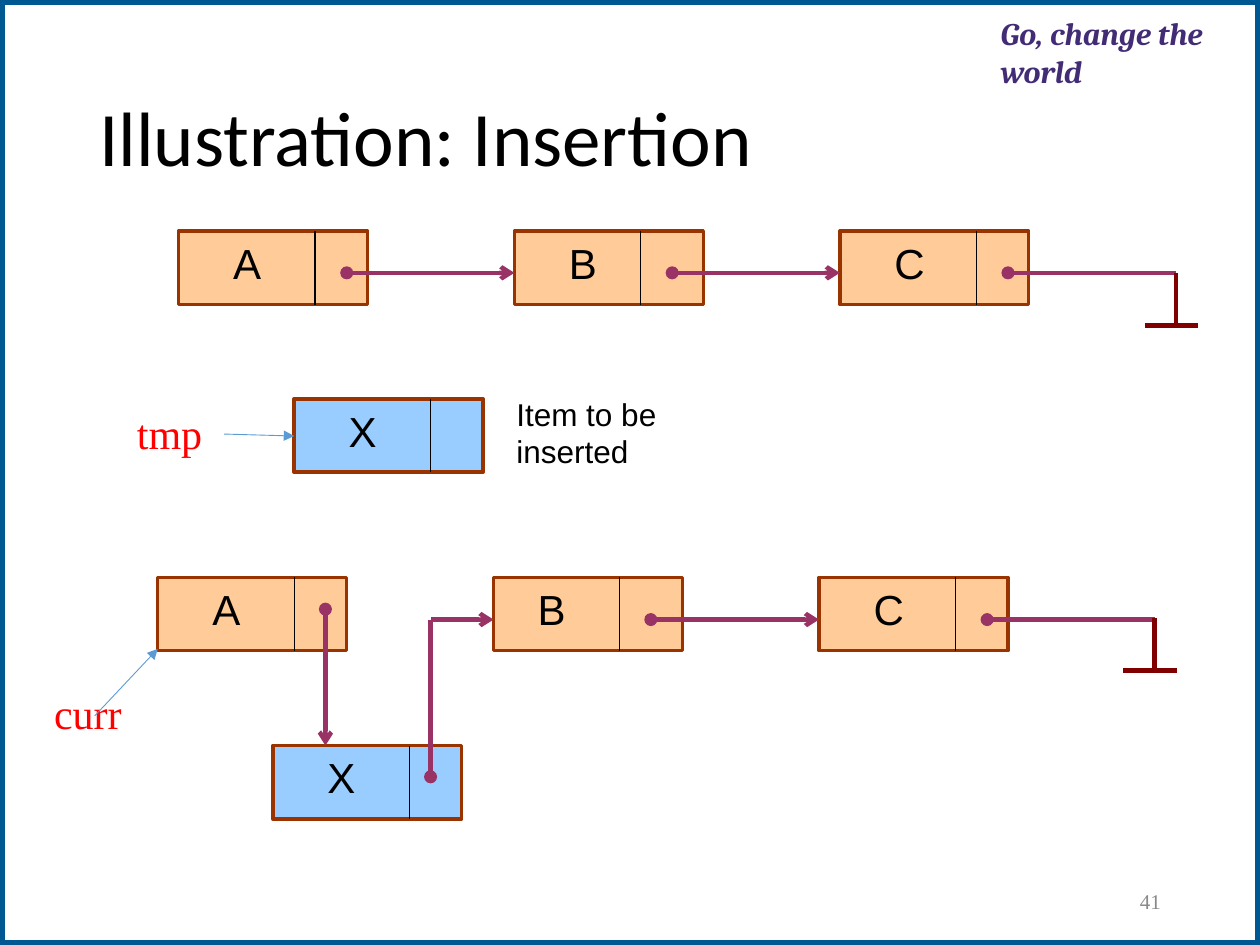
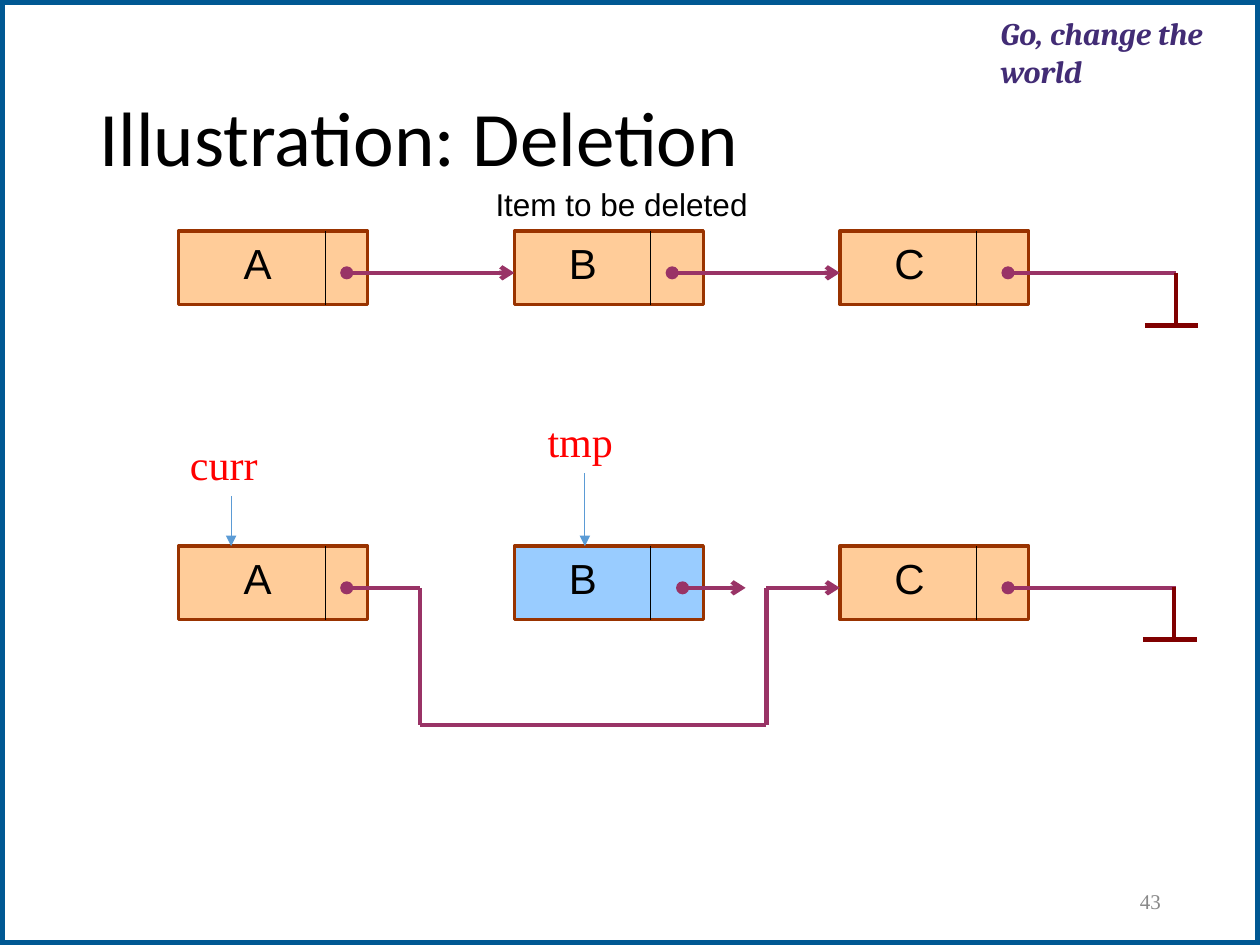
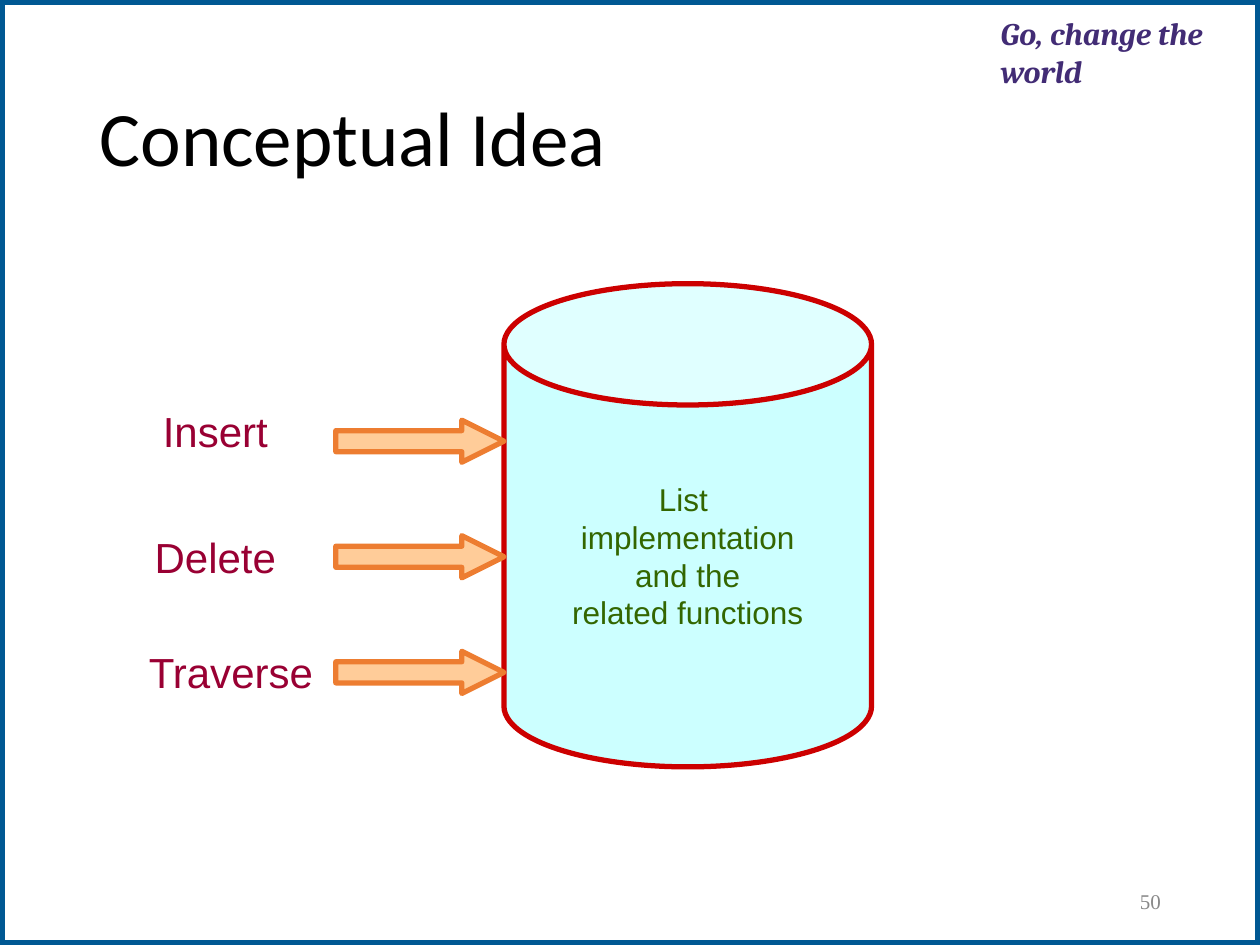
import lxml.etree
import pptx
import pptx.dml.color
import pptx.enum.shapes
import pptx.enum.text
import pptx.oxml.ns
import pptx.util

Cm, Pt = pptx.util.Cm, pptx.util.Pt
colour = pptx.dml.color.RGBColor.from_string
SHAPE = pptx.enum.shapes.MSO_SHAPE
ALIGN = pptx.enum.text.PP_ALIGN
MIDDLE = pptx.enum.text.MSO_ANCHOR.MIDDLE
qn = pptx.oxml.ns.qn

PEACH, SKY = "FFCC99", "99CCFF"
NODE_EDGE, LINK, GROUND, POINTER = "993300", "993366", "800000", "5B9BD5"
BLACK, RED, CRIMSON = "000000", "FF0000", "990033"
NODE_WIDTH, NODE_HEIGHT = 3.81, 1.48


def add_text(slide, text, box, size, font, ink, align=ALIGN.LEFT):
    frame = slide.shapes.add_textbox(*map(Cm, box)).text_frame
    frame.word_wrap = True
    frame.text = text
    paragraph = frame.paragraphs[0]
    paragraph.alignment = align
    paragraph.font.size = Pt(size)
    paragraph.font.name = font
    paragraph.font.color.rgb = colour(ink)
    return frame


def add_line(slide, ends, ink, width, head="none", tail="none"):
    """Draw a straight line; head and tail are the arrowheads at its start and end."""
    line = slide.shapes.add_connector(
        pptx.enum.shapes.MSO_CONNECTOR.STRAIGHT, *map(Cm, ends))
    line.line.color.rgb = colour(ink)
    line.line.width = Pt(width)
    properties = line.element.spPr
    stroke = properties.find(qn("a:ln"))
    lxml.etree.SubElement(stroke, qn("a:headEnd"), type=head)
    lxml.etree.SubElement(stroke, qn("a:tailEnd"), type=tail)
    lxml.etree.SubElement(properties, qn("a:effectLst"))


presentation = pptx.Presentation()
presentation.slide_width, presentation.slide_height = Cm(25.4), Cm(19.05)
layout = presentation.slide_layouts[5]

# Titles and page numbers
slides = []
for heading, page in [("Illustration: Insertion", "41"),
                      ("Illustration: Deletion", "43"),
                      ("Conceptual Idea", "50")]:
    slide = presentation.slides.add_slide(layout)
    slides.append(slide)
    title = slide.shapes.title
    title.left, title.top, title.width, title.height = map(Cm, (1.75, 1.02, 21.9, 3.68))
    title.text_frame.text = heading
    title.text_frame.vertical_anchor = MIDDLE
    paragraph = title.text_frame.paragraphs[0]
    paragraph.alignment = ALIGN.LEFT
    paragraph.line_spacing = 0.9
    paragraph.font.size = Pt(44)
    paragraph.font.name = "Calibri"
    paragraph.font.color.rgb = colour(BLACK)
    number = add_text(slide, page, (17.93, 17.65, 5.72, 1.02), 12,
                      "Times New Roman", "898989", ALIGN.RIGHT)
    number.vertical_anchor = MIDDLE

insertion, deletion, concept = slides

# Border and motto are drawn once, then moved behind the layout's placeholders
border = insertion.shapes.add_shape(
    SHAPE.RECTANGLE, 0, 0, presentation.slide_width, presentation.slide_height)
border.shadow.inherit = False
border.fill.solid()
border.fill.fore_color.rgb = colour("FFFFFF")
border.line.color.rgb = colour("005893")
border.line.width = Pt(6)
motto = add_text(insertion, "Go, change the world", (20.17, 0.25, 5.21, 1.57),
                 18, "Cambria", "422C75")
motto.margin_left = motto.margin_right = motto.margin_bottom = 0
motto.margin_top = Cm(0.03)
motto.paragraphs[0].space_before = Pt(1)
motto.paragraphs[0].font.bold = True
motto.paragraphs[0].font.italic = True
for part in (insertion.shapes[-1], border):
    layout.shapes.element.insert(2, part.element)

# Linked list nodes: label, left, top, label offset, divider offset, fill
insertion_nodes = [
    ("A", 3.6, 4.66, 0.85, 2.75, PEACH),
    ("B", 10.37, 4.66, 0.85, 2.54, PEACH),
    ("C", 16.93, 4.66, 0.85, 2.75, PEACH),
    ("X", 5.93, 8.04, 0.85, 2.75, SKY),
    ("A", 3.18, 11.64, 0.85, 2.75, PEACH),
    ("B", 9.95, 11.64, 0.64, 2.54, PEACH),
    ("C", 16.51, 11.64, 0.85, 2.75, PEACH),
    ("X", 5.5, 15.03, 0.85, 2.75, SKY),
]
deletion_nodes = [
    (label, left, top, label_offset, divider_offset, fill)
    for top, middle_fill in [(4.66, PEACH), (11.01, SKY)]
    for label, left, label_offset, divider_offset, fill in [
        ("A", 3.6, 1.06, 2.96, PEACH),
        ("B", 10.37, 0.85, 2.75, middle_fill),
        ("C", 16.93, 0.85, 2.75, PEACH)]
]

# Links: ends, start mark, end mark
starting_links = [
    ((6.99, 5.5, 10.37, 5.5), "oval", "arrow"),
    ((13.55, 5.5, 16.93, 5.5), "oval", "arrow"),
    ((20.32, 5.5, 23.71, 5.5), "oval", "none"),
]
insertion_links = starting_links + [
    ((6.56, 12.28, 6.56, 15.03), "oval", "arrow"),
    ((8.68, 15.66, 8.68, 12.49), "oval", "none"),
    ((8.68, 12.49, 9.95, 12.49), "none", "arrow"),
    ((13.12, 12.49, 16.51, 12.49), "oval", "arrow"),
    ((19.9, 12.49, 23.28, 12.49), "oval", "none"),
]
deletion_links = starting_links + [
    ((6.99, 11.85, 8.47, 11.85), "oval", "none"),
    ((8.47, 11.85, 8.47, 14.61), "none", "none"),
    ((8.47, 14.61, 15.45, 14.61), "none", "none"),
    ((15.45, 14.61, 15.45, 11.85), "none", "none"),
    ((15.45, 11.85, 16.93, 11.85), "none", "arrow"),
    ((13.76, 11.85, 15.03, 11.85), "oval", "arrow"),
    ((20.32, 11.85, 23.71, 11.85), "oval", "none"),
]

# Pointer variables: name, box, arrow ends
insertion_pointers = [
    ("curr", (0.84, 13.74, 2.13, 1.28), (1.91, 14.43, 3.18, 13.08)),
    ("tmp", (2.51, 8.1, 1.98, 1.28), (4.52, 8.75, 5.93, 8.79)),
]
deletion_pointers = [
    ("curr", (3.58, 8.71, 2.13, 1.28), (4.66, 10.0, 4.66, 11.01)),
    ("tmp", (10.79, 8.25, 1.98, 1.28), (11.79, 9.54, 11.79, 11.01)),
]

for slide, nodes, links, grounds, pointers, remark, remark_box in [
    (insertion, insertion_nodes, insertion_links, [(23.71, 5.5), (23.27, 12.46)],
     insertion_pointers, "Item to be inserted", (10.16, 7.83, 4.66, 1.78)),
    (deletion, deletion_nodes, deletion_links, [(23.71, 5.5), (23.67, 11.83)],
     deletion_pointers, "Item to be deleted", (9.74, 3.6, 6.99, 1.02)),
]:
    for label, left, top, label_offset, divider_offset, fill in nodes:
        node = slide.shapes.add_shape(
            SHAPE.RECTANGLE, *map(Cm, (left, top, NODE_WIDTH, NODE_HEIGHT)))
        node.shadow.inherit = False
        node.fill.solid()
        node.fill.fore_color.rgb = colour(fill)
        node.line.color.rgb = colour(NODE_EDGE)
        node.line.width = Pt(2)
        divider = left + divider_offset
        add_line(slide, (divider, top, divider, top + NODE_HEIGHT), BLACK, 0.75)
        add_text(slide, label, (left + label_offset, top, 1.69, 1.27), 24, "Arial", BLACK)
    for ends, head, tail in links:
        add_line(slide, ends, LINK, 2.5, head, tail)
    for x, y in grounds:
        foot = y + 1.06
        add_line(slide, (x, y, x, foot), GROUND, 2.5)
        add_line(slide, (x - 0.63, foot, x + 0.45, foot), GROUND, 2.5)
    for name, box, ends in pointers:
        add_text(slide, name, box, 24, "Times New Roman", RED)
        add_line(slide, ends, POINTER, 0.5, tail="triangle")
    add_text(slide, remark, remark_box, 18, "Arial", BLACK)

# The list as a store reached through three operations
store = concept.shapes.add_shape(SHAPE.CAN, *map(Cm, (10.16, 5.72, 7.41, 9.74)))
store.shadow.inherit = False
store.adjustments[0] = 0.33
store.fill.solid()
store.fill.fore_color.rgb = colour("CCFFFF")
store.line.color.rgb = colour("CC0000")
store.line.width = Pt(3)
store.text_frame.word_wrap = False
store.text_frame.vertical_anchor = MIDDLE
store.text_frame.text = "List \nimplementation\nand the\nrelated functions"
for paragraph in store.text_frame.paragraphs:
    paragraph.alignment = ALIGN.CENTER
    paragraph.font.size = Pt(18)
    paragraph.font.name = "Arial"
    paragraph.font.color.rgb = colour("336600")

for row, (operation, top, width) in enumerate(
        [("Insert", 8.04, 3.6), ("Delete", 10.58, 3.6), ("Traverse", 12.91, 4.23)]):
    arrow = concept.shapes.add_shape(
        SHAPE.RIGHT_ARROW, *map(Cm, (6.77, 8.47 + 2.33 * row, 3.39, 0.85)))
    arrow.shadow.inherit = False
    arrow.adjustments[0], arrow.adjustments[1] = 0.5, 1
    arrow.fill.solid()
    arrow.fill.fore_color.rgb = colour(PEACH)
    arrow.line.color.rgb = colour("ED7D31")
    arrow.line.width = Pt(3)
    add_text(concept, operation, (2.54, top, width, 1.27), 24, "Arial", CRIMSON, ALIGN.CENTER)

presentation.save("out.pptx")
